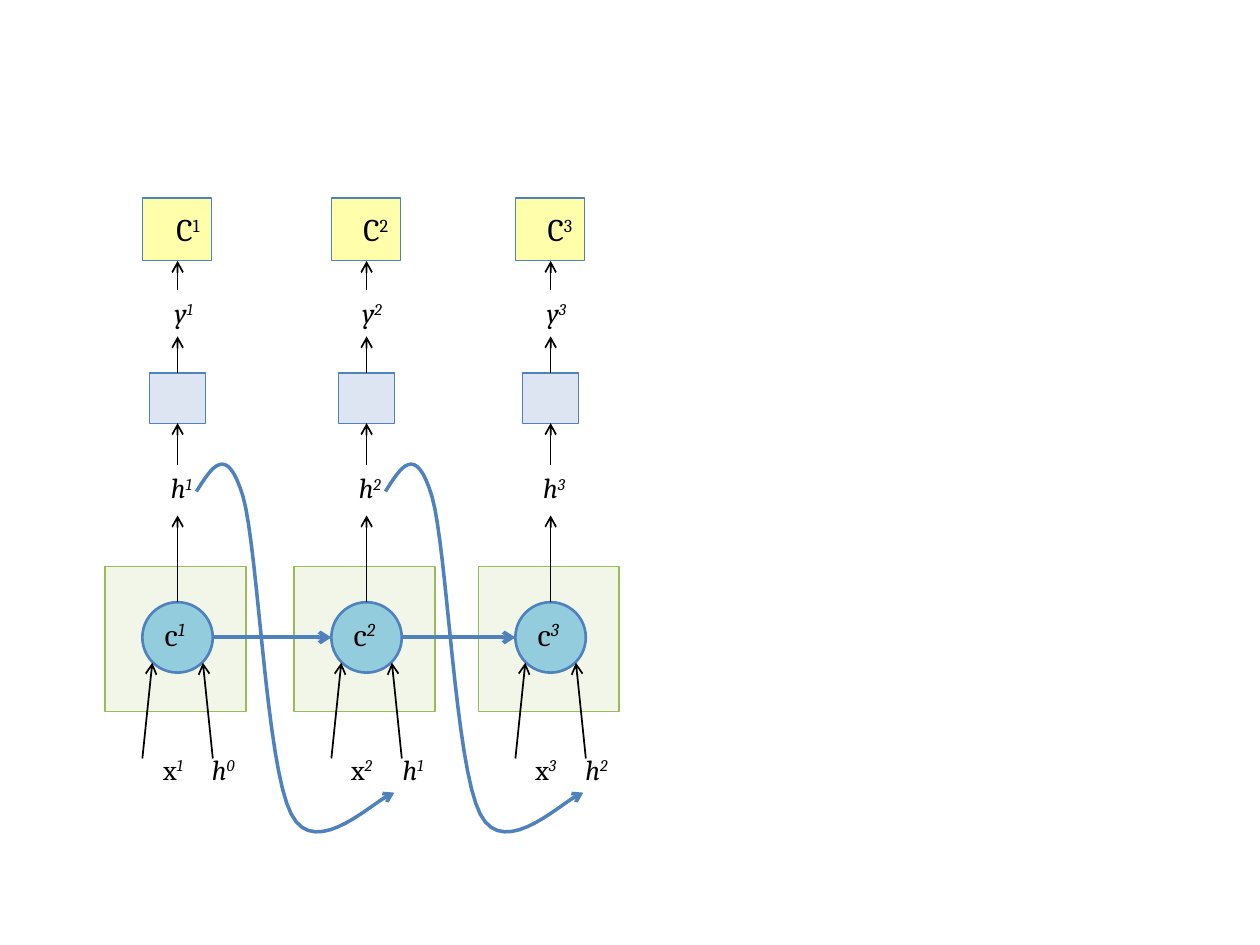
from pptx import Presentation
from pptx.dml.color import RGBColor
from pptx.enum import shapes, text
from pptx.oxml.ns import qn
from pptx.util import Cm, Pt
from lxml import etree

BLACK = RGBColor(0x00, 0x00, 0x00)
BLUE = RGBColor(0x4F, 0x81, 0xBD)
GREEN = RGBColor(0x9B, 0xBB, 0x59)
PALE_GREEN = RGBColor(0xD7, 0xE4, 0xBD)
TEAL = RGBColor(0x93, 0xCD, 0xDD)
PALE_BLUE = RGBColor(0x95, 0xB3, 0xD7)
YELLOW = RGBColor(0xFF, 0xFF, 0x00)

RECT = shapes.MSO_SHAPE.RECTANGLE
OVAL = shapes.MSO_SHAPE.OVAL
LEFT, RIGHT = text.PP_ALIGN.LEFT, text.PP_ALIGN.RIGHT

CENTERS = [3.58, 7.39, 11.1]  # middle of each time step, in cm
CELL_Y = 12.85                # middle of the cell circles
RADIUS = 0.71

# Feedback curve from h to the next input, as offsets from the step's middle
CURVE_START = (0.38, 9.91)
CURVE_SEGMENTS = [
    [(0.69, 9.42), (0.99, 8.92), (1.32, 10.01)],
    [(1.63, 11.1), (1.78, 15.42), (2.29, 16.41)],
    [(2.79, 17.4), (4.04, 16.05), (4.37, 15.98)],
]


def add_block(parent, kind, x, y, w, h, fill, line, width=0.75, alpha=None):
    sp = parent.add_shape(kind, Cm(x), Cm(y), Cm(w), Cm(h))
    sp.shadow.inherit = False
    sp.fill.solid()
    sp.fill.fore_color.rgb = fill
    if alpha:
        clr = sp.fill._xPr.find(qn("a:solidFill"))[0]
        etree.SubElement(clr, qn("a:alpha"), val=str(alpha * 1000))
    sp.line.color.rgb = line
    sp.line.width = Pt(width)
    return sp


def write_symbol(tf, base, index, size, align, base_italic, index_italic):
    """Write a letter with a raised index."""
    p = tf.paragraphs[0]
    p.alignment = align
    for part, italic in ((base, base_italic), (index, index_italic)):
        r = p.add_run()
        r.text = str(part)
        r.font.name = "Cambria"
        r.font.size = Pt(size)
        r.font.italic = italic
        r.font.color.rgb = BLACK
    r.font._element.set("baseline", "30000")


def add_label(parent, x, y, base, index, w=1.12, h=0.94, size=16,
              align=RIGHT, italic=True):
    tf = parent.add_textbox(Cm(x), Cm(y), Cm(w), Cm(h)).text_frame
    tf.word_wrap = False
    tf.auto_size = text.MSO_AUTO_SIZE.SHAPE_TO_FIT_TEXT
    write_symbol(tf, base, index, size, align, italic, True)


def style_arrow(sp, color, width):
    sp.line.color.rgb = color
    sp.line.width = Pt(width)
    etree.SubElement(sp.line._get_or_add_ln(), qn("a:tailEnd"), type="arrow")


def add_arrow(parent, x1, y1, x2, y2, color=BLACK, width=1):
    cn = parent.add_connector(shapes.MSO_CONNECTOR.STRAIGHT,
                              Cm(x1), Cm(y1), Cm(x2), Cm(y2))
    style_arrow(cn, color, width)
    etree.SubElement(cn._element.spPr, qn("a:effectLst"))


def bezier(p0, p1, p2, p3, steps=16):
    for i in range(1, steps + 1):
        t = i / steps
        yield tuple((1 - t) ** 3 * a + 3 * t * (1 - t) ** 2 * b
                    + 3 * t ** 2 * (1 - t) * c + t ** 3 * d
                    for a, b, c, d in zip(p0, p1, p2, p3))


def add_feedback(parent, cx):
    points = [CURVE_START]
    for segment in CURVE_SEGMENTS:
        points += bezier(points[-1], *segment)
    points = [(Cm(cx + x), Cm(y)) for x, y in points]
    fb = parent.build_freeform(*points[0])
    fb.add_line_segments(points[1:], close=False)
    sp = fb.convert_to_shape()
    sp.shadow.inherit = False
    sp.fill.background()
    style_arrow(sp, BLUE, 2)


def add_step(s, cx, n):
    """One time step: cell, hidden state, layer, output and class."""
    g = s.shapes.add_group_shape().shapes
    # Cell
    add_block(g, RECT, cx - 1.46, 11.42, 2.84, 2.92, PALE_GREEN, GREEN, alpha=33)
    add_block(g, OVAL, cx - RADIUS, CELL_Y - RADIUS, 2 * RADIUS, 2 * RADIUS,
              TEAL, BLUE, 1.5)
    # Inputs
    for side in (-1, 1):
        add_arrow(g, cx + side * 0.71, 15.29, cx + side * 0.51, 13.36)
    add_label(g, cx - 0.76, 15.04, "x", n, italic=False)
    add_label(g, cx + 0.28, 15.04, "h", n - 1)
    # Hidden state and output
    add_label(g, cx - 0.58, 9.37, "h", n)
    add_label(g, cx - 0.53, 5.84, "y", n, w=1.09)
    # Layer and class
    add_block(g, RECT, cx - 0.56, 7.52, 1.12, 1.02, PALE_BLUE, BLUE, alpha=33)
    sp = add_block(g, RECT, cx - 0.71, 3.99, 1.4, 1.27, YELLOW, BLUE, alpha=33)
    sp.text_frame.vertical_anchor = text.MSO_ANCHOR.MIDDLE
    write_symbol(sp.text_frame, "C", n, 18, RIGHT, False, False)
    # Upward flow
    for start, end in ((12.14, 10.39), (9.37, 8.53), (7.52, 6.78), (5.84, 5.26)):
        add_arrow(g, cx, start, cx, end)


def main():
    prs = Presentation()
    prs.slide_width, prs.slide_height = Cm(25.4), Cm(19.05)
    s = prs.slides.add_slide(prs.slide_layouts[6])

    for n, cx in enumerate(CENTERS, 1):
        add_step(s, cx, n)
    for cx in CENTERS[:-1]:
        add_feedback(s.shapes, cx)
    for n, cx in enumerate(CENTERS, 1):
        add_label(s.shapes, cx - 0.51, 12.27, "c", n, w=1.04, h=1.02,
                  size=18, align=LEFT, italic=False)
    # Cell state passed to the next step
    for cx, following in zip(CENTERS, CENTERS[1:]):
        add_arrow(s.shapes, cx + RADIUS, CELL_Y, following - RADIUS, CELL_Y,
                  BLUE, 2.25)
    prs.save("out.pptx")


if __name__ == "__main__":
    main()
